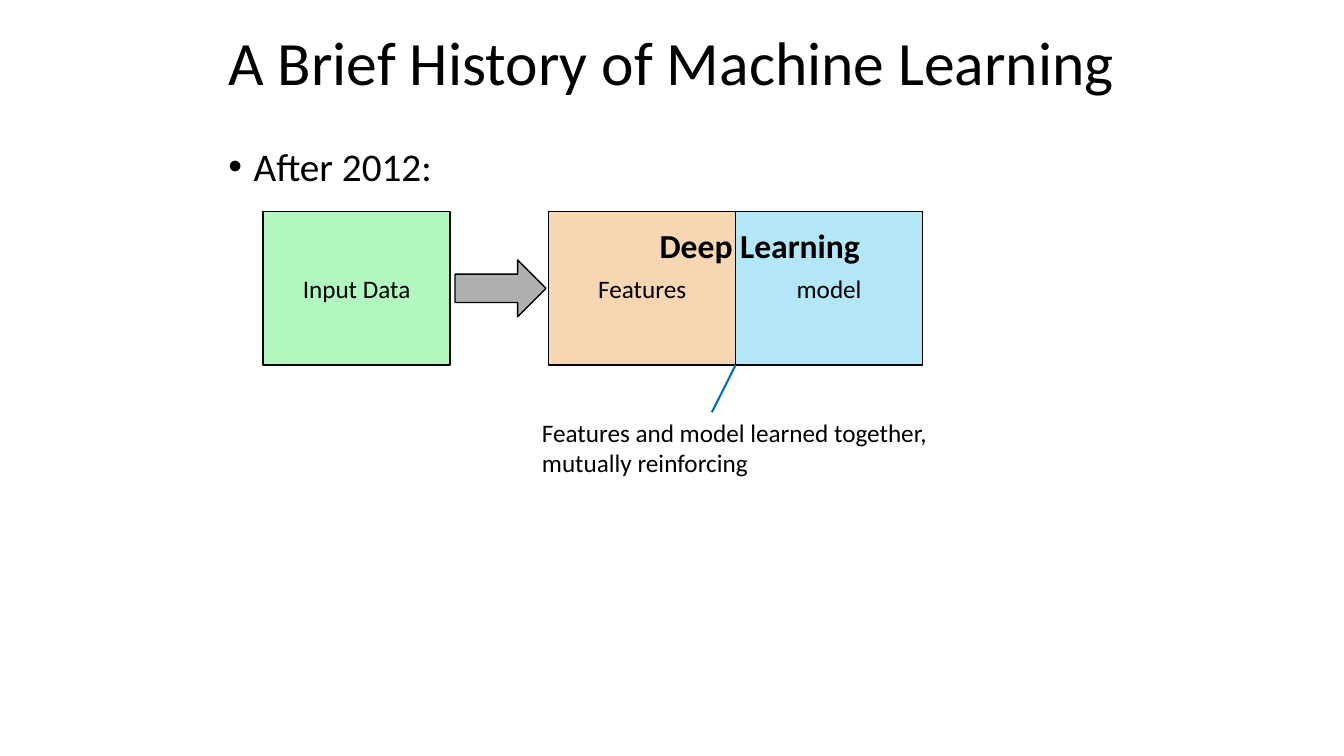
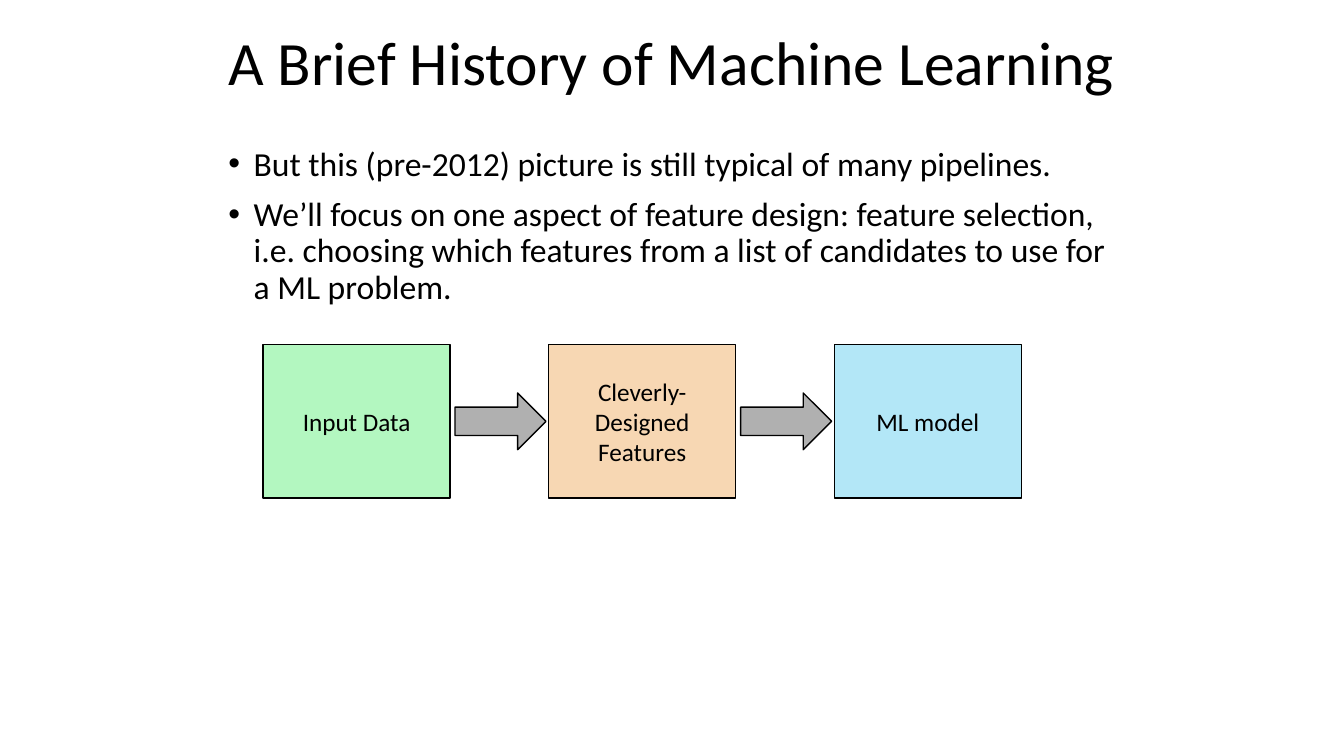
import pptx
import pptx.util
import pptx.dml.color
import pptx.enum.shapes
import pptx.enum.text
import pptx.oxml
import pptx.oxml.ns

Pt = pptx.util.Pt
MSO_SHAPE = pptx.enum.shapes.MSO_SHAPE
ALIGN = pptx.enum.text.PP_ALIGN
ANCHOR = pptx.enum.text.MSO_ANCHOR
AUTO_SIZE = pptx.enum.text.MSO_AUTO_SIZE

FONT = "Calibri"
BLACK = "000000"
GREEN, ORANGE, BLUE, GRAY = "B3F7C0", "F7D7B3", "B3E7F7", "B0B0B0"
LINE_BLUE = "0070C0"
TITLE = "A Brief History of Machine Learning"

CONTENT_LEFT, CONTENT_WIDTH = 156, 648
TITLE_TOP, TITLE_HEIGHT = 8.6, 76.4
BODY_TOP, BODY_HEIGHT = 101.5, 385
FLOW_LEFT = 188
BOX_WIDTH, BOX_HEIGHT = 133.5, 109.5
BOX_GAP = 70.5
ARROW_WIDTH, ARROW_HEIGHT = 65, 40.5


def color(value):
    """Return the colour of a hex string."""
    return pptx.dml.color.RGBColor.from_string(value)


def style_font(paragraph, size, bold=False):
    """Apply the shared typeface to a paragraph."""
    paragraph.font.name = FONT
    paragraph.font.size = Pt(size)
    paragraph.font.bold = bold
    paragraph.font.color.rgb = color(BLACK)


def place(shape, left, top, width, height):
    """Move and resize a shape, in points."""
    shape.left, shape.top = Pt(left), Pt(top)
    shape.width, shape.height = Pt(width), Pt(height)


def add_text_slide(presentation, bullets, size):
    """Add a slide with the shared title and a bullet list."""
    slide = presentation.slides.add_slide(presentation.slide_layouts[1])
    title, body = slide.shapes.title, slide.placeholders[1]
    place(title, CONTENT_LEFT, TITLE_TOP, CONTENT_WIDTH, TITLE_HEIGHT)
    place(body, CONTENT_LEFT, BODY_TOP, CONTENT_WIDTH, BODY_HEIGHT)
    title.text_frame.text = TITLE
    title.text_frame.vertical_anchor = ANCHOR.MIDDLE
    body.text_frame.text = "\n".join(bullets)
    for placeholder, font_size in ((title, 44), (body, size)):
        placeholder.text_frame.auto_size = AUTO_SIZE.NONE
        for paragraph in placeholder.text_frame.paragraphs:
            paragraph.alignment = ALIGN.LEFT
            paragraph.line_spacing = 0.9
            style_font(paragraph, font_size)
    for paragraph in body.text_frame.paragraphs:
        paragraph.space_before = Pt(10)
        properties = paragraph._p.get_or_add_pPr()
        properties.set("marL", str(Pt(18)))
        properties.set("indent", str(Pt(-18)))
    return slide


def add_filled_shape(slide, kind, fill, left, top, width, height):
    """Add a flat, black-outlined preset shape."""
    shape = slide.shapes.add_shape(kind, Pt(left), Pt(top), Pt(width), Pt(height))
    shape.shadow.inherit = False
    shape.fill.solid()
    shape.fill.fore_color.rgb = color(fill)
    shape.line.color.rgb = color(BLACK)
    shape.line.width = Pt(1)
    return shape


def add_flow(slide, left, top, steps):
    """Add a row of boxes from (text, fill, arrow before) steps and return its right edge."""
    right = left
    for text, fill, has_arrow in steps:
        if has_arrow:
            add_filled_shape(slide, MSO_SHAPE.RIGHT_ARROW, GRAY,
                             right + (BOX_GAP - ARROW_WIDTH) / 2 + 0.75,
                             top + (BOX_HEIGHT - ARROW_HEIGHT) / 2,
                             ARROW_WIDTH, ARROW_HEIGHT)
            right += BOX_GAP
        box = add_filled_shape(slide, MSO_SHAPE.RECTANGLE, fill, right, top, BOX_WIDTH, BOX_HEIGHT)
        box.text_frame.text = text
        box.text_frame.word_wrap = True
        box.text_frame.vertical_anchor = ANCHOR.MIDDLE
        paragraph = box.text_frame.paragraphs[0]
        paragraph.alignment = ALIGN.CENTER
        style_font(paragraph, 18)
        right += BOX_WIDTH
    return right


def add_label(slide, text, left, top, width, height, size, bold=False):
    """Add an unwrapped text label."""
    label = slide.shapes.add_textbox(Pt(left), Pt(top), Pt(width), Pt(height))
    label.text_frame.text = text
    label.text_frame.word_wrap = False
    label.text_frame.auto_size = AUTO_SIZE.SHAPE_TO_FIT_TEXT
    style_font(label.text_frame.paragraphs[0], size, bold)


def add_callout_line(slide, begin_x, begin_y, end_x, end_y):
    """Add a thin blue line without a shadow."""
    line = slide.shapes.add_connector(pptx.enum.shapes.MSO_CONNECTOR.STRAIGHT,
                                      Pt(begin_x), Pt(begin_y), Pt(end_x), Pt(end_y))
    line.line.color.rgb = color(LINE_BLUE)
    line.line.width = Pt(1.5)
    effects = pptx.oxml.parse_xml("<a:effectLst %s/>" % pptx.oxml.ns.nsdecls("a"))
    line._element.spPr.append(effects)


def build_deep_learning(presentation):
    """Build the slide on learning features and model together."""
    slide = add_text_slide(presentation, ["After 2012:"], 28)
    top = 151.2
    right = add_flow(slide, FLOW_LEFT, top, [
        ("Input Data", GREEN, False),
        ("Features", ORANGE, True),
        ("model", BLUE, False),
    ])
    seam, bottom = right - BOX_WIDTH, top + BOX_HEIGHT
    add_label(slide, "Deep Learning", seam - 61.5, top + 6, 159, 36, 24, True)
    add_label(slide, "Features and model learned together,\vmutually reinforcing",
              seam - 145.5, bottom + 33.8, 293, 51, 18)
    add_callout_line(slide, seam, bottom, seam - 17, bottom + 33.8)


def build_pipeline(presentation):
    """Build the slide on the classic pipeline with designed features."""
    slide = add_text_slide(presentation, [
        "But this (pre-2012) picture is still typical of many pipelines.",
        "We’ll focus on one aspect of feature design: feature selection, i.e. choosing "
        "which features from a list of candidates to use for a ML problem.",
    ], 24)
    add_flow(slide, FLOW_LEFT, 246.2, [
        ("Input Data", GREEN, False),
        ("Cleverly-Designed\vFeatures", ORANGE, True),
        ("ML model", BLUE, True),
    ])


def main():
    """Build and save the presentation."""
    presentation = pptx.Presentation()
    presentation.slide_width, presentation.slide_height = Pt(960), Pt(540)
    build_deep_learning(presentation)
    build_pipeline(presentation)
    presentation.save("out.pptx")


if __name__ == "__main__":
    main()
